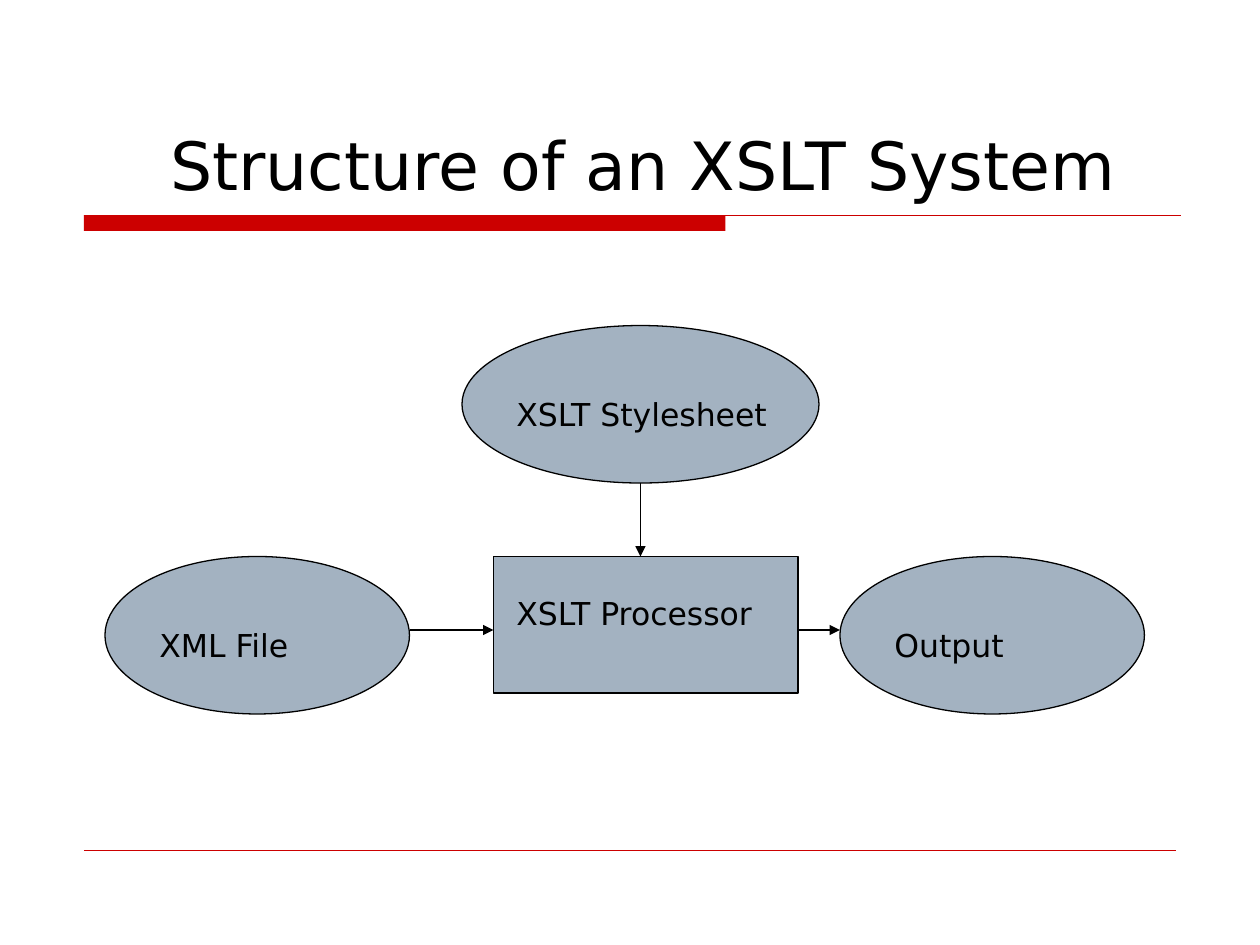
from dataclasses import dataclass

from lxml.etree import SubElement
from pptx import Presentation
from pptx.dml.color import RGBColor
from pptx.enum.shapes import MSO_CONNECTOR, MSO_SHAPE
from pptx.enum.text import MSO_ANCHOR, MSO_AUTO_SIZE, PP_ALIGN
from pptx.oxml.ns import qn
from pptx.slide import Slide
from pptx.text.text import TextFrame
from pptx.util import Pt


@dataclass(frozen=True)
class Theme:
    """Colours, font and sizes of the slide."""
    ink: RGBColor = RGBColor(0, 0, 0)
    red: RGBColor = RGBColor(0xCC, 0, 0)
    fill: RGBColor = RGBColor(0xA3, 0xB2, 0xC1)
    font: str = "DejaVu Sans"
    head: float = 38
    text: float = 18
    line: float = 0.75
    thin: float = 0.25


@dataclass(frozen=True)
class Box:
    """A place and size in points."""
    x: float
    y: float
    w: float
    h: float

    def pts(self) -> list[Pt]:
        """Give the four values as lengths."""
        return [Pt(v) for v in (self.x, self.y, self.w, self.h)]


@dataclass(frozen=True)
class Node:
    """A shape of the flow with its label."""
    text: str
    kind: MSO_SHAPE
    box: Box
    label: Box


@dataclass(frozen=True)
class Link:
    """A line between two points."""
    x1: float
    y1: float
    x2: float
    y2: float
    color: RGBColor
    width: float
    arrow: bool = False


THEME = Theme()
OVAL, RECT = MSO_SHAPE.OVAL, MSO_SHAPE.RECTANGLE
ROW = 318
MID = 360
NODES = [
    Node("XML File", OVAL, Box(60, ROW, 174, 90), Box(84, 354, 120, 29)),
    Node("Output", OVAL, Box(480, ROW, 174, 90), Box(504, 354, 120, 29)),
    Node("XSLT Processor", RECT, Box(282, ROW, 174, 78), Box(288, 336, 156, 62)),
    Node("XSLT Stylesheet", OVAL, Box(264, 186, 204, 90), Box(288, 222, 168, 29)),
]
RULES = [
    Link(48, 123, 675, 123, THEME.red, THEME.line),
    Link(48, 486, 672, 486, THEME.red, THEME.thin),
]
ARROWS = [
    Link(*ends, THEME.ink, THEME.line, True)
    for ends in ((366, 276, 366, ROW), (234, MID, 282, MID), (456, MID, 480, MID))
]


def apply(item: object, form: dict) -> None:
    """Set each format value on the item."""
    for key, val in form.items():
        setattr(item, key, val)


def write(frame: TextFrame, text: str, size: float, form: dict, para: dict) -> None:
    """Put styled text in a frame."""
    frame.text = text
    apply(frame, form)
    first = frame.paragraphs[0]
    apply(first, para)
    font = first.runs[0].font
    apply(font, {"name": THEME.font, "size": Pt(size)})
    font.color.rgb = THEME.ink


def add_head(slide: Slide, text: str, box: Box) -> None:
    """Fill and place the title."""
    title = slide.shapes.title
    apply(title, dict(zip(("left", "top", "width", "height"), box.pts())))
    form = {"vertical_anchor": MSO_ANCHOR.BOTTOM, "word_wrap": True,
            "auto_size": MSO_AUTO_SIZE.NONE}
    write(title.text_frame, text, THEME.head, form, {"alignment": PP_ALIGN.LEFT})


def add_form(slide: Slide, kind: MSO_SHAPE, box: Box, fill: RGBColor,
             edge: RGBColor | None = None) -> None:
    """Draw a filled shape, outlined if an edge is given."""
    shape = slide.shapes.add_shape(kind, *box.pts())
    shape.shadow.inherit = False
    shape.fill.solid()
    shape.fill.fore_color.rgb = fill
    if edge is None:
        shape.line.fill.background()
    else:
        shape.line.color.rgb = edge
        shape.line.width = Pt(THEME.line)


def add_node(slide: Slide, node: Node) -> None:
    """Draw a node and its label."""
    add_form(slide, node.kind, node.box, THEME.fill, THEME.ink)
    label = slide.shapes.add_textbox(*node.label.pts())
    form = {"word_wrap": True, "auto_size": MSO_AUTO_SIZE.SHAPE_TO_FIT_TEXT}
    write(label.text_frame, node.text, THEME.text, form, {"space_before": Pt(11.2)})


def add_link(slide: Slide, link: Link) -> None:
    """Draw a line, with an arrowhead if asked."""
    ends = [Pt(v) for v in (link.x1, link.y1, link.x2, link.y2)]
    wire = slide.shapes.add_connector(MSO_CONNECTOR.STRAIGHT, *ends)
    wire.line.color.rgb = link.color
    wire.line.width = Pt(link.width)
    if link.arrow:
        SubElement(wire.line._get_or_add_ln(), qn("a:tailEnd"), type="triangle")
    SubElement(wire._element.spPr, qn("a:effectLst"))


def main() -> None:
    """Build and save the slide."""
    deck = Presentation()
    apply(deck, {"slide_width": Pt(720), "slide_height": Pt(540)})
    slide = deck.slides.add_slide(deck.slide_layouts[5])
    add_form(slide, RECT, Box(48, 123, 366.5, 9), THEME.red)
    for rule in RULES:
        add_link(slide, rule)
    add_head(slide, "Structure of an XSLT System", Box(90, 24, 630, 96))
    for node in NODES:
        add_node(slide, node)
    for arrow in ARROWS:
        add_link(slide, arrow)
    deck.save("out.pptx")


if __name__ == "__main__":
    main()
